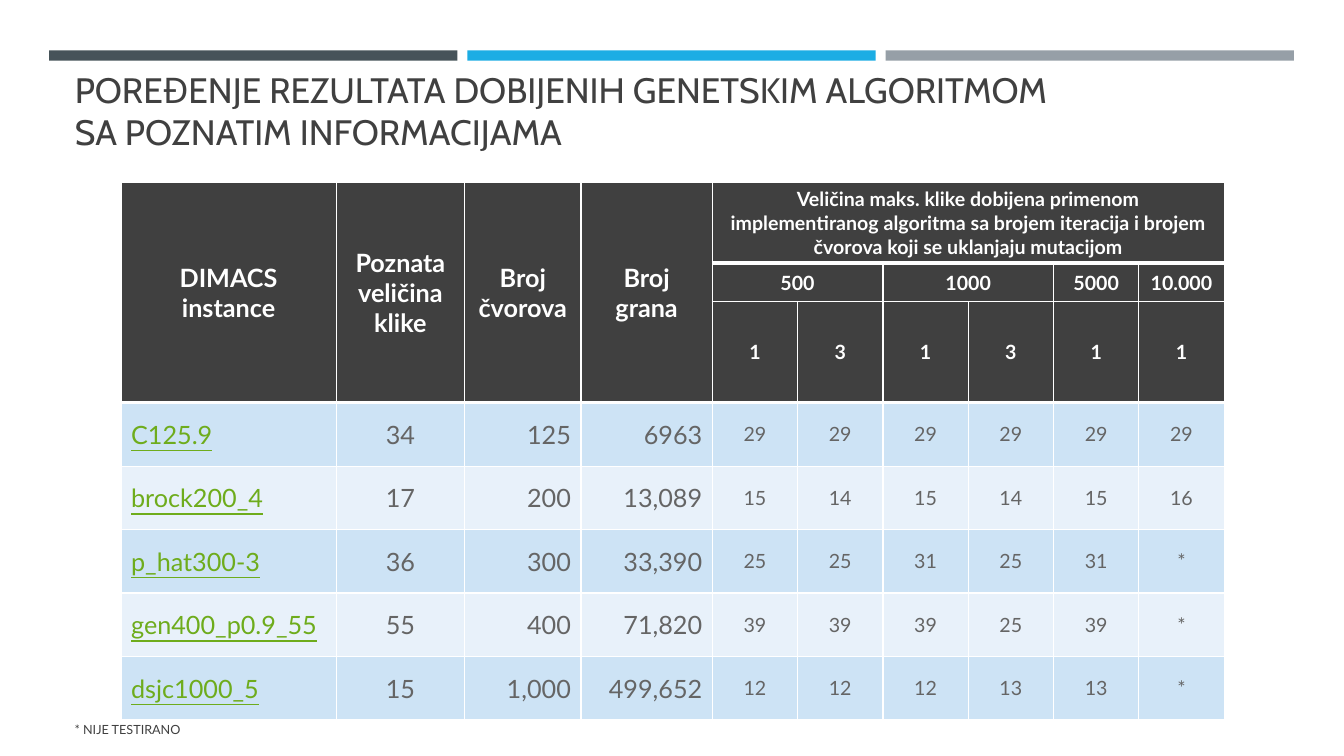
import pptx
import pptx.dml.color
import pptx.enum.text
import pptx.oxml
import pptx.oxml.ns
import pptx.util

Cm, Pt = pptx.util.Cm, pptx.util.Pt
ALIGN = {"l": pptx.enum.text.PP_ALIGN.LEFT, "c": pptx.enum.text.PP_ALIGN.CENTER,
         "r": pptx.enum.text.PP_ALIGN.RIGHT}
ANCHOR = pptx.enum.text.MSO_ANCHOR

# Content
TITLE = "POREĐENJE REZULTATA DOBIJENIH GENETSKIM ALGORITMOM \vSA POZNATIM INFORMACIJAMA"
FOOTNOTE = "* NIJE TESTIRANO"
BAR_COLORS = ["465359", "1CADE4", "969FA7"]
# Header cells: row, column, rows spanned, columns spanned, text, size
HEADERS = [
    (0, 0, 3, 1, "DIMACS instance", 18),
    (0, 1, 3, 1, "Poznata veličina klike", 18),
    (0, 2, 3, 1, "Broj čvorova", 18),
    (0, 3, 3, 1, "Broj grana", 18),
    (0, 4, 1, 6, "Veličina maks. klike dobijena primenom implementiranog algoritma "
                 "sa brojem iteracija i brojem čvorova koji se uklanjaju mutacijom", 14),
    (1, 4, 1, 2, "500", 14),
    (1, 6, 1, 2, "1000", 14),
    (1, 8, 1, 1, "5000", 14),
    (1, 9, 1, 1, "10.000", 14),
] + [(2, 4 + i, 1, 1, text, 14) for i, text in enumerate("131311")]
RESULTS = [
    ("C125.9", "34", "125", "6963", "29", "29", "29", "29", "29", "29"),
    ("brock200_4", "17", "200", "13,089", "15", "14", "15", "14", "15", "16"),
    ("p_hat300-3", "36", "300", "33,390", "25", "25", "31", "25", "31", "*"),
    ("gen400_p0.9_55", "55", "400", "71,820", "39", "39", "39", "25", "39", "*"),
    ("dsjc1000_5", "15", "1,000", "499,652", "12", "12", "12", "13", "13", "*"),
]
COL_WIDTHS = [5.42, 3.24, 2.93, 3.31] + [2.15] * 6
ROW_HEIGHTS = [1.88, 0.97, 0.97] + [1.6] * len(RESULTS)
COL_ALIGNS = "lcrrcccccc"
HEADER_ROWS, FIRST_RUN_COL = 3, 4
DARK, BAND_COLORS = "404040", ["CDE3F5", "E8F1FA"]


def rgb(color):
    return pptx.dml.color.RGBColor.from_string(color)


def write(tf, text, size, color=DARK, font="Lato", align="l", bold=False, underline=False):
    tf.text = text
    p = tf.paragraphs[0]
    p.alignment = ALIGN[align]
    for r in p.runs:
        f = r.font
        f.name, f.size, f.bold, f.underline = font, Pt(size), bold, underline
        f.color.rgb = rgb(color)


def fill_cell(cell, text, size, fill, **fmt):
    write(cell.text_frame, text, size, **fmt)
    cell.vertical_anchor = ANCHOR.MIDDLE
    cell.fill.solid()
    cell.fill.fore_color.rgb = rgb(fill)


def set_borders(cell, top, bottom):
    """White borders in points; the sides are 1 pt. Lines come before the fill."""
    tc_pr = cell._tc.get_or_add_tcPr()
    for i, (side, width) in enumerate((("L", 1), ("R", 1), ("T", top), ("B", bottom))):
        tc_pr.insert(i, pptx.oxml.parse_xml(
            f'<a:ln{side} {pptx.oxml.ns.nsdecls("a")} w="{Pt(width)}"><a:solidFill>'
            f'<a:srgbClr val="FFFFFF"/></a:solidFill></a:ln{side}>'))


prs = pptx.Presentation()
prs.slide_width, prs.slide_height = Cm(33.87), Cm(19.05)
s = prs.slides.add_slide(prs.slide_layouts[5])

# Colour bars
for i, color in enumerate(BAR_COLORS):
    sp = s.shapes.add_shape(1, Cm(1.24 + 10.54 * i), Cm(1.27), Cm(10.29), Cm(0.26))
    sp.shadow.inherit = False
    sp.fill.solid()
    sp.fill.fore_color.rgb = rgb(color)
    sp.line.fill.background()

# Title
title = s.shapes.title
title.left, title.top, title.width, title.height = Cm(1.63), Cm(2.34), Cm(30.63), Cm(1.63)
tf = title.text_frame
tf.auto_size = pptx.enum.text.MSO_AUTO_SIZE.NONE
tf.vertical_anchor = ANCHOR.BOTTOM
write(tf, TITLE, 25.2, font="Cabin")

# Table grid
table = s.shapes.add_table(len(ROW_HEIGHTS), len(COL_WIDTHS), Cm(3.05), Cm(4.6),
                           Cm(sum(COL_WIDTHS)), Cm(sum(ROW_HEIGHTS))).table
for col, width in zip(table.columns, COL_WIDTHS):
    col.width = Cm(width)
for row, height in zip(table.rows, ROW_HEIGHTS):
    row.height = Cm(height)

# Header: heavy rules under the first line and under the whole header
for row, col, n_rows, n_cols, text, size in HEADERS:
    cell = table.cell(row, col)
    if n_rows * n_cols > 1:
        cell.merge(table.cell(row + n_rows - 1, col + n_cols - 1))
    fill_cell(cell, text, size, DARK, color="FFFFFF", align="c", bold=True)
    set_borders(cell, top=3 if row == 1 else 1, bottom=1 if row == 1 else 3)

# Results
for i, result in enumerate(RESULTS):
    for col, text in enumerate(result):
        cell = table.cell(HEADER_ROWS + i, col)
        is_name = col == 0
        fill_cell(cell, text, 18 if col < FIRST_RUN_COL else 14, BAND_COLORS[i % 2],
                  color="6EAC1C" if is_name else "656565",
                  align=COL_ALIGNS[col], underline=is_name)
        if i == 0 and col >= FIRST_RUN_COL:
            set_borders(cell, top=3, bottom=1)

# Footnote
tf = s.shapes.add_textbox(Cm(1.63), Cm(17.86), Cm(19.2), Cm(1.02)).text_frame
tf.word_wrap = True
tf.vertical_anchor = ANCHOR.MIDDLE
write(tf, FOOTNOTE, 9)

prs.save("out.pptx")
